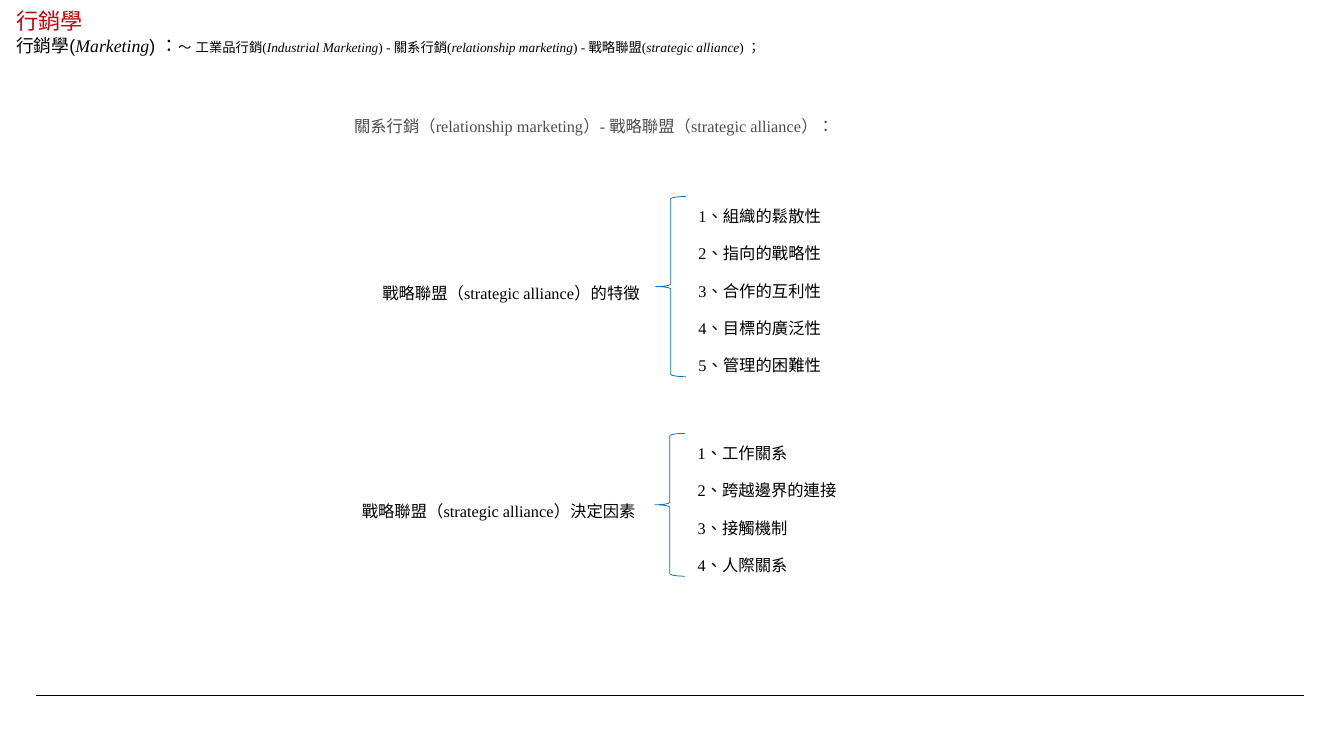
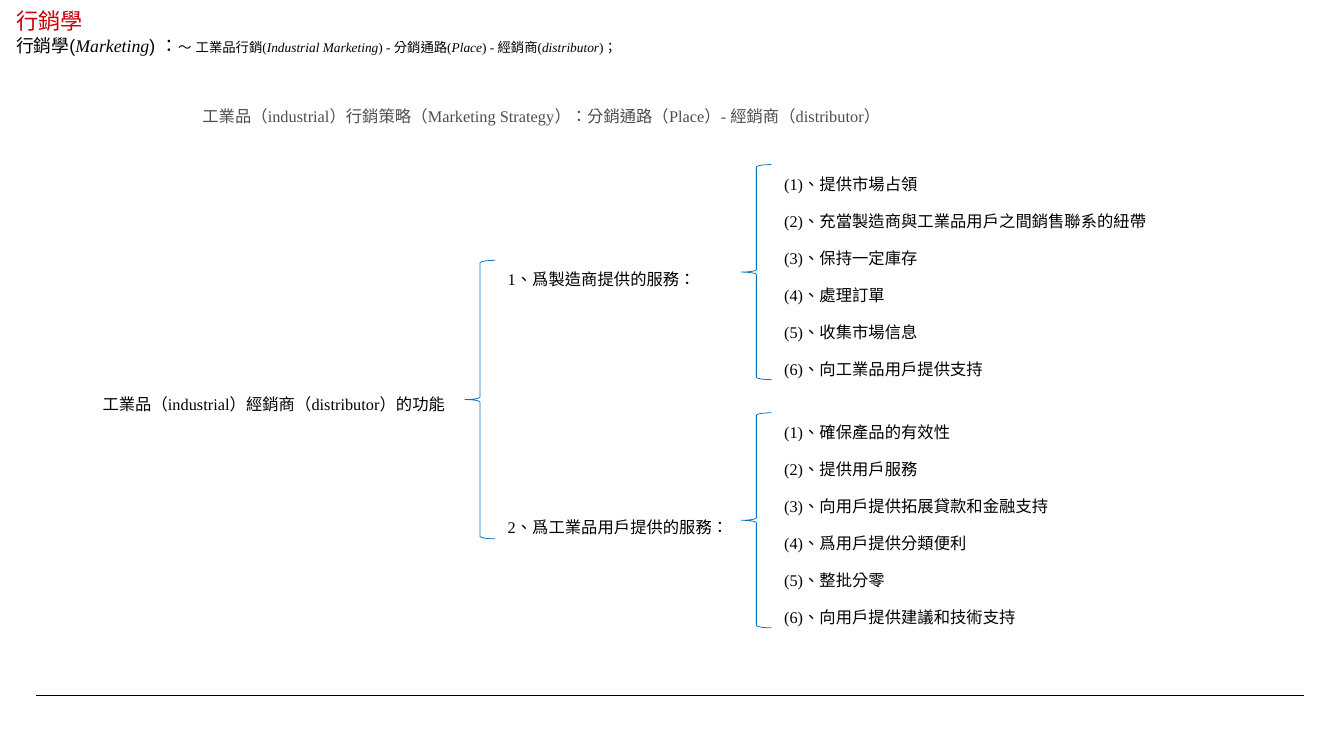
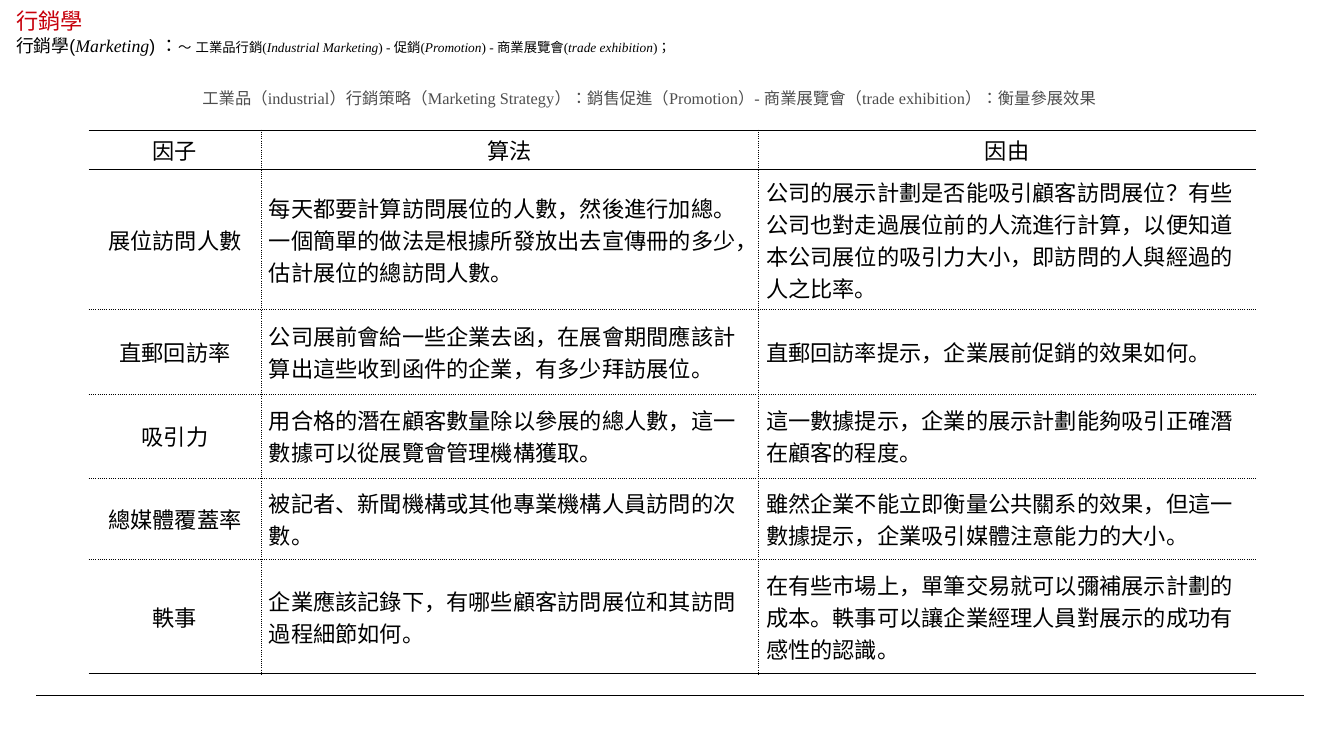
"""Build three marketing slides: two bracket diagrams and one table."""
from dataclasses import dataclass

from lxml import etree
from pptx import Presentation
from pptx.dml.color import RGBColor
from pptx.enum.shapes import MSO_CONNECTOR, MSO_SHAPE
from pptx.enum.text import MSO_ANCHOR, MSO_AUTO_SIZE, PP_ALIGN
from pptx.oxml.ns import qn
from pptx.util import Cm, Pt

STRAIGHT = MSO_CONNECTOR.STRAIGHT
LEFT_BRACE = MSO_SHAPE.LEFT_BRACE
TOP, MIDDLE = MSO_ANCHOR.TOP, MSO_ANCHOR.MIDDLE
NO_FIT, GROW = MSO_AUTO_SIZE.NONE, MSO_AUTO_SIZE.SHAPE_TO_FIT_TEXT
LEFT, CENTER = PP_ALIGN.LEFT, PP_ALIGN.CENTER


@dataclass(frozen=True)
class Theme:
    red: str = "C7000B"
    black: str = "000000"
    grey: str = "4D4D4D"
    blue: str = "0070C0"
    sans: str = "Arial"
    serif: str = "Times New Roman"
    cjk: str = "Noto Sans CJK SC"
    title: int = 15
    subject: int = 12
    space: int = 13
    trail: int = 9
    text: int = 11
    cell: int = 15
    thin: float = 0.5


T = Theme()

PAGES = [
    {
        "trail": [("工業品行銷", "Industrial Marketing"), ("關系行銷", "relationship marketing"),
                  ("戰略聯盟", "strategic alliance")],
        "end": ") ；",
        "heading": ("關系行銷（relationship marketing）- 戰略聯盟（strategic alliance）：", 8.18, 2.41, 18.64),
        "labels": [
            ("戰略聯盟（strategic alliance）的特徵", 8.69, 6.38, 6.96, CENTER),
            ("戰略聯盟（strategic alliance）決定因素", 8.18, 11.58, 7.39, CENTER),
        ],
        "braces": [],
        "pitch": 0.89,
        "lists": [
            (16.38, 4.55, 4.52, ["1、組織的鬆散性", "2、指向的戰略性", "3、合作的互利性",
                                 "4、目標的廣泛性", "5、管理的困難性"]),
            (16.36, 10.19, 4.52, ["1、工作關系", "2、跨越邊界的連接", "3、接觸機制", "4、人際關系"]),
        ],
    },
    {
        "trail": [("工業品行銷", "Industrial Marketing"), ("分銷通路", "Place"), ("經銷商", "distributor")],
        "end": ")；",
        "heading": ("工業品（industrial）行銷策略（Marketing Strategy）：分銷通路（Place）- 經銷商（distributor）",
                    4.57, 2.18, 22.86),
        "labels": [
            ("工業品（industrial）經銷商（distributor）的功能", 1.96, 9.04, 9.12, CENTER),
            ("1、爲製造商提供的服務：", 11.84, 6.05, 5.79, LEFT),
            ("2、爲工業品用戶提供的服務：", 11.84, 11.96, 5.79, LEFT),
        ],
        "braces": [(11.07, 6.2, 6.63)],
        "pitch": 0.88,
        "lists": [
            (18.42, 3.79, 9.65, ["(1)、提供市場占領", "(2)、充當製造商與工業品用戶之間銷售聯系的紐帶",
                                 "(3)、保持一定庫存", "(4)、處理訂單", "(5)、收集市場信息",
                                 "(6)、向工業品用戶提供支持"]),
            (18.42, 9.7, 9.65, ["(1)、確保產品的有效性", "(2)、提供用戶服務",
                                "(3)、向用戶提供拓展貸款和金融支持", "(4)、爲用戶提供分類便利",
                                "(5)、整批分零", "(6)、向用戶提供建議和技術支持"]),
        ],
    },
    {
        "trail": [("工業品行銷", "Industrial Marketing"), ("促銷", "Promotion"),
                  ("商業展覽會", "trade exhibition")],
        "end": ")；",
        "heading": ("工業品（industrial）行銷策略（Marketing Strategy）：銷售促進（Promotion）"
                    "- 商業展覽會（trade exhibition）：衡量參展效果", 4.57, 1.75, 22.86),
        "labels": [],
        "braces": [],
        "pitch": 0,
        "lists": [],
    },
]

COLUMNS = [4.11, 11.84, 11.84]
ROWS = [
    (0.94, "因子", "算法", "因由"),
    (3.33, "展位訪問人數",
     "每天都要計算訪問展位的人數，然後進行加總。一個簡單的做法是根據所發放出去宣傳冊的多少，估計展位的總訪問人數。",
     "公司的展示計劃是否能吸引顧客訪問展位？有些公司也對走過展位前的人流進行計算，"
     "以便知道本公司展位的吸引力大小，即訪問的人與經過的人之比率。"),
    (2.01, "直郵回訪率",
     "公司展前會給一些企業去函，在展會期間應該計算出這些收到函件的企業，有多少拜訪展位。",
     "直郵回訪率提示，企業展前促銷的效果如何。"),
    (2.01, "吸引力",
     "用合格的潛在顧客數量除以參展的總人數，這一數據可以從展覽會管理機構獲取。",
     "這一數據提示，企業的展示計劃能夠吸引正確潛在顧客的程度。"),
    (1.93, "總媒體覆蓋率",
     "被記者、新聞機構或其他專業機構人員訪問的次數。",
     "雖然企業不能立即衡量公共關系的效果，但這一數據提示，企業吸引媒體注意能力的大小。"),
    (2.72, "軼事",
     "企業應該記錄下，有哪些顧客訪問展位和其訪問過程細節如何。",
     "在有些市場上，單筆交易就可以彌補展示計劃的成本。軼事可以讓企業經理人員對展示的成功有感性的認識。"),
]


def write(p, text, size, font, color=T.black, italic=False, lang="zh-TW"):
    r = p.add_run()
    r.text = text
    r.font.size, r.font.name = Pt(size), font
    r.font.bold, r.font.italic = False, italic
    r.font.color.rgb = RGBColor.from_string(color)
    rPr = r._r.get_or_add_rPr()
    rPr.set("lang", lang)
    etree.SubElement(rPr, qn("a:ea")).set("typeface", T.cjk)


def text_box(s, text, left, top, width, align=LEFT, color=T.black):
    tf = s.shapes.add_textbox(Cm(left), Cm(top), Cm(width), Cm(0.86)).text_frame
    tf.word_wrap, tf.auto_size = True, GROW
    p = tf.paragraphs[0]
    p.alignment, p.line_spacing = align, 1.5
    write(p, text, T.text, T.serif, color)


prs = Presentation()
prs.slide_width, prs.slide_height = Cm(32), Cm(18)
layout = prs.slide_layouts[2]
frames = [(0.13, 0.18, 23.67, 0.61, MIDDLE), (0.13, 0.66, 26.49, 0.81, TOP)]
for sp, (left, top, width, height, anchor) in zip(layout.placeholders, frames):
    sp.left, sp.top, sp.width, sp.height = Cm(left), Cm(top), Cm(width), Cm(height)
    sp.text_frame.vertical_anchor = anchor
    sp.text_frame.auto_size = NO_FIT

slides = [prs.slides.add_slide(layout) for _ in PAGES]

rule = slides[0].shapes.add_connector(STRAIGHT, Cm(0.86), Cm(16.56), Cm(31.04), Cm(16.56))
rule.line.color.rgb, rule.line.width = RGBColor.from_string(T.black), Pt(T.thin)
etree.SubElement(rule.element.spPr, qn("a:effectLst"))
rule.element.xpath("./p:nvCxnSpPr/p:cNvPr")[0].set("id", "20")
layout.shapes.element.append(rule.element)

for s, page in zip(slides, PAGES):
    write(s.shapes.title.text_frame.paragraphs[0], "行銷學", T.title, T.sans, T.red)

    p = s.placeholders[1].text_frame.paragraphs[0]
    p.space_before = Pt(0)
    write(p, "行銷學(", T.subject, T.sans)
    write(p, "Marketing", T.subject, T.serif, italic=True)
    write(p, ") ：", T.subject, T.sans)
    write(p, "～", T.trail, T.sans)
    write(p, " ", T.space, T.sans)
    for i, (chinese, english) in enumerate(page["trail"]):
        write(p, (") - " if i else "") + chinese + "(", T.trail, T.serif)
        write(p, english, T.trail, T.serif, italic=True)
    write(p, page["end"], T.trail, T.serif)

    text_box(s, *page["heading"], color=T.grey)
    for label in page["labels"]:
        text_box(s, *label)

    pitch = page["pitch"]
    braces = list(page["braces"])
    for left, top, width, items in page["lists"]:
        braces.append((left - 0.77, top + 0.13, len(items) * pitch - 0.16))
        for i, item in enumerate(items):
            text_box(s, item, left, top + i * pitch, width)
    for left, top, height in braces:
        sp = s.shapes.add_shape(LEFT_BRACE, Cm(left), Cm(top), Cm(0.72), Cm(height))
        sp.shadow.inherit = False
        sp.fill.background()
        sp.line.color.rgb, sp.line.width = RGBColor.from_string(T.blue), Pt(T.thin)

table = slides[2].shapes.add_table(len(ROWS), len(COLUMNS), Cm(2.11), Cm(3.1),
                                   Cm(sum(COLUMNS)), Cm(sum(row[0] for row in ROWS))).table
table.first_row = table.horz_banding = False
for column, width in zip(table.columns, COLUMNS):
    column.width = Cm(width)

across = [1, 0.75, 0.25, 0.25, 0.25, 0.25, 1]
down = [0, 0.25, 0.25, 0]
for i, (height, *texts) in enumerate(ROWS):
    table.rows[i].height = Cm(height)
    for j, text in enumerate(texts):
        cell = table.cell(i, j)
        cell.margin_left = cell.margin_right = Cm(0.18)
        cell.margin_top = cell.margin_bottom = 0
        cell.vertical_anchor = MIDDLE
        p = cell.text_frame.paragraphs[0]
        p.alignment = CENTER if i == 0 or j == 0 else LEFT
        write(p, text, T.cell, T.cjk, lang="zh-CN")
        tcPr = cell._tc.get_or_add_tcPr()
        sides = {"a:lnL": down[j], "a:lnR": down[j + 1], "a:lnT": across[i], "a:lnB": across[i + 1]}
        for side, weight in sides.items():
            ln = etree.SubElement(tcPr, qn(side), w=str(Pt(weight)))
            if not weight:
                etree.SubElement(ln, qn("a:noFill"))
                continue
            fill = etree.SubElement(ln, qn("a:solidFill"))
            etree.SubElement(fill, qn("a:srgbClr"), val=T.black)
            etree.SubElement(ln, qn("a:prstDash"), val="sysDot" if weight == 0.25 else "solid")
        cell.fill.background()

prs.save("out.pptx")
